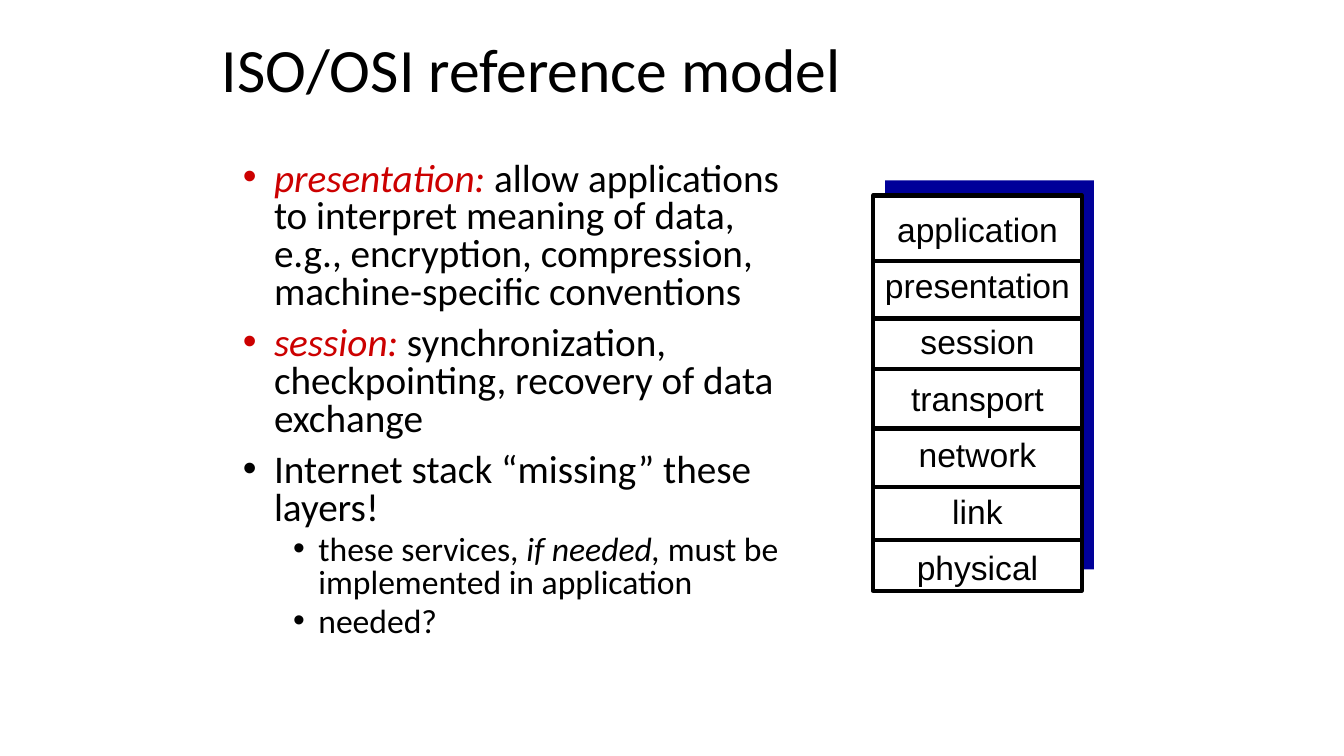
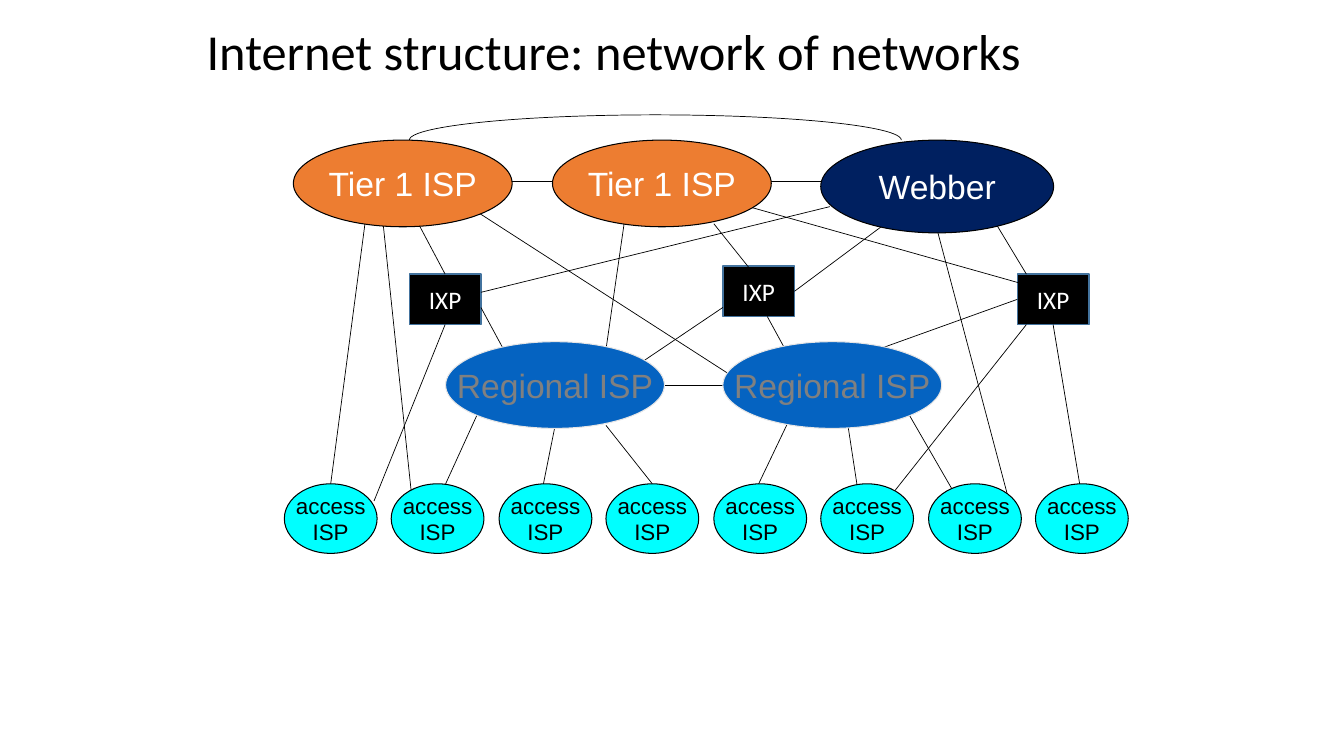
from lxml.etree import SubElement
from pptx import Presentation
from pptx.dml.color import RGBColor
from pptx.enum.shapes import MSO_CONNECTOR as Connector, MSO_SHAPE as Shape
from pptx.enum.text import MSO_ANCHOR as Anchor, PP_ALIGN as Align
from pptx.oxml.ns import qn
from pptx.util import Pt

EMU_PER_PX = 9144
BLACK, WHITE, RED = "000000", "FFFFFF", "CC0000"
NAVY, ORANGE, DARK_BLUE = "000099", "ED7D31", "002060"
BLUE, CYAN, GRAY = "0563C1", "00FFFF", "808080"
PALE, STEEL = "E7E6E6", "43739E"
BODY_FONT, LABEL_FONT = "Calibri", "Arial"
TOP, LEFT, BOTTOM, RIGHT = range(4)

LAYERS = ["application", "presentation", "session", "transport",
          "network", "link", "physical"]
DIVIDERS = [259, 316, 366, 425, 483, 536]

BULLETS = [
    (0, [("presentation:", RED, True),
         (" allow applications to interpret meaning of data, e.g., encryption, "
          "compression, machine-specific conventions", BLACK, False)]),
    (0, [("session:", RED, True),
         (" synchronization, checkpointing, recovery of data exchange", BLACK, False)]),
    (0, [("Internet stack “missing” these layers!", BLACK, False)]),
    (1, [("these services, ", BLACK, False), ("if needed,", BLACK, True),
         (" must be implemented in application", BLACK, False)]),
    (1, [("needed?", BLACK, False)]),
]
LEVELS = [(28, 10, 31, 31), (24, 5, 75, 25)]

FREE_LINKS = [
    (362, 222, 328, 480), (380, 222, 408, 489), (550, 425, 539, 480),
    (473, 412, 442, 480), (601, 422, 647, 480), (717, 382, 659, 382),
    (784, 414, 752, 481), (841, 422, 850, 481), (902, 412, 947, 490),
    (930, 230, 999, 490), (562, 180, 504, 180), (819, 180, 761, 180),
    (983, 214, 1018, 272), (477, 305, 504, 355), (823, 205, 477, 290),
    (708, 222, 752, 277), (619, 222, 601, 347), (761, 314, 779, 347),
    (717, 305, 628, 365), (476, 212, 726, 373), (1018, 322, 885, 490),
    (746, 206, 1012, 281),
]
EXCHANGE_SPOTS = [(406, 272), (717, 264), (1009, 272)]
EXCHANGE_LINKS = [
    (0, TOP, 415, 222), (0, BOTTOM, 371, 497), (1, RIGHT, 878, 222),
    (2, LEFT, 867, 348), (2, BOTTOM, 1071, 481),
]
PROVIDERS = [
    ("Tier 1 ISP", (291, 139, 217, 86), ORANGE, BLACK, WHITE),
    ("Tier 1 ISP", (548, 139, 217, 86), ORANGE, BLACK, WHITE),
    ("Webber", (814, 139, 231, 92), DARK_BLUE, BLACK, WHITE),
    ("Regional ISP", (442, 339, 217, 86), BLUE, PALE, GRAY),
    ("Regional ISP", (717, 339, 217, 86), BLUE, PALE, GRAY),
]


def px(*lengths):
    return [length * EMU_PER_PX for length in lengths]


def color(value):
    return RGBColor.from_string(value)


def set_font(font, name, size, ink):
    font.name, font.size = name, Pt(size)
    font.color.rgb = color(ink)


def add_box(page, area, anchor=Anchor.TOP):
    box = page.shapes.add_textbox(*px(*area))
    box.text_frame.word_wrap = True
    box.text_frame.vertical_anchor = anchor
    return box.text_frame


def add_title(page, area, text, size):
    para = add_box(page, area, Anchor.MIDDLE).paragraphs[0]
    para.text = text
    para.line_spacing = 0.9
    set_font(para.font, BODY_FONT, size, BLACK)


def next_para(frame, index):
    return frame.add_paragraph() if index else frame.paragraphs[0]


def add_bullets(page, area, items):
    frame = add_box(page, area)
    for index, (level, spans) in enumerate(items):
        size, before, margin, hang = LEVELS[level]
        para = next_para(frame, index)
        para.level = level
        props = para._p.get_or_add_pPr()
        props.set("marL", str(margin * EMU_PER_PX))
        props.set("indent", str(-hang * EMU_PER_PX))
        SubElement(props, qn("a:buFont"), typeface="Arial")
        SubElement(props, qn("a:buChar"), char="•")
        para.line_spacing = 0.8
        if index:
            para.space_before = Pt(before)
        para.font.name, para.font.size = BODY_FONT, Pt(size)
        for text, ink, italic in spans:
            span = para.add_run()
            span.text = text
            span.font.italic = italic
            span.font.color.rgb = color(ink)


def add_shape(page, kind, area, fill=None, line=None, weight=1):
    shape = page.shapes.add_shape(kind, *px(*area))
    shape.shadow.inherit = False
    if fill:
        shape.fill.solid()
        shape.fill.fore_color.rgb = color(fill)
    else:
        shape.fill.background()
    if line:
        shape.line.color.rgb = color(line)
        shape.line.width = Pt(weight)
    else:
        shape.line.fill.background()
    return shape


def add_label(shape, text, font, size, ink, wrap=False):
    frame = shape.text_frame
    frame.word_wrap = wrap
    frame.vertical_anchor = Anchor.MIDDLE
    frame.text = text
    for para in frame.paragraphs:
        para.alignment = Align.CENTER
        set_font(para.font, font, size, ink)


def add_line(page, ends, weight):
    line = page.shapes.add_connector(Connector.STRAIGHT, *px(*ends))
    line.line.color.rgb = color(BLACK)
    line.line.width = Pt(weight)
    SubElement(line._element.spPr, qn("a:effectLst"))
    return line


def add_layer_stack(page):
    add_shape(page, Shape.RECTANGLE, (878, 179, 207, 386), NAVY)
    add_shape(page, Shape.RECTANGLE, (866, 194, 207, 392), WHITE, BLACK, 3)
    frame = add_box(page, (861, 213, 217, 378))
    for index, layer in enumerate(LAYERS):
        para = next_para(frame, index)
        para.text = layer
        para.alignment = Align.CENTER
        para.line_spacing = 0.7
        if index:
            para.space_before = Pt(20.1)
        set_font(para.font, LABEL_FONT, 24, BLACK)
    for y in DIVIDERS:
        add_line(page, (865, y, 1071, y), 3)


def add_network(page):
    exchanges = []
    for x, y in EXCHANGE_SPOTS:
        exchange = add_shape(page, Shape.RECTANGLE, (x, y, 71, 50), BLACK, STEEL)
        add_label(exchange, "IXP", BODY_FONT, 18, WHITE, wrap=True)
        exchanges.append(exchange)
    for ends in FREE_LINKS:
        add_line(page, ends, 0.5)
    for index, side, x, y in EXCHANGE_LINKS:
        add_line(page, (x, y, x, y), 0.5).end_connect(exchanges[index], side)
    arc = add_shape(page, Shape.ARC, (406, 114, 488, 50), line=BLACK, weight=0.5)
    arc.adjustments[0] = 106.82
    for text, area, fill, line, ink in PROVIDERS:
        provider = add_shape(page, Shape.OVAL, area, fill, line, 0.75)
        add_label(provider, text, LABEL_FONT, 24, ink)
    for index in range(8):
        area = (282 + index * 213 // 2, 480, 92, 69)
        access = add_shape(page, Shape.OVAL, area, CYAN, BLACK, 0.75)
        add_label(access, "access\nISP", LABEL_FONT, 16, BLACK)


def main():
    deck = Presentation()
    deck.slide_width, deck.slide_height = px(1333, 750)
    blank = deck.slide_layouts[6]

    page = deck.slides.add_slide(blank)
    add_title(page, (210, 9, 711, 125), "ISO/OSI reference model", 44)
    add_bullets(page, (231, 156, 564, 508), BULLETS)
    add_layer_stack(page)

    page = deck.slides.add_slide(blank)
    add_title(page, (195, 18, 885, 71), "Internet structure: network of networks", 36)
    add_network(page)

    deck.save("out.pptx")


if __name__ == "__main__":
    main()
